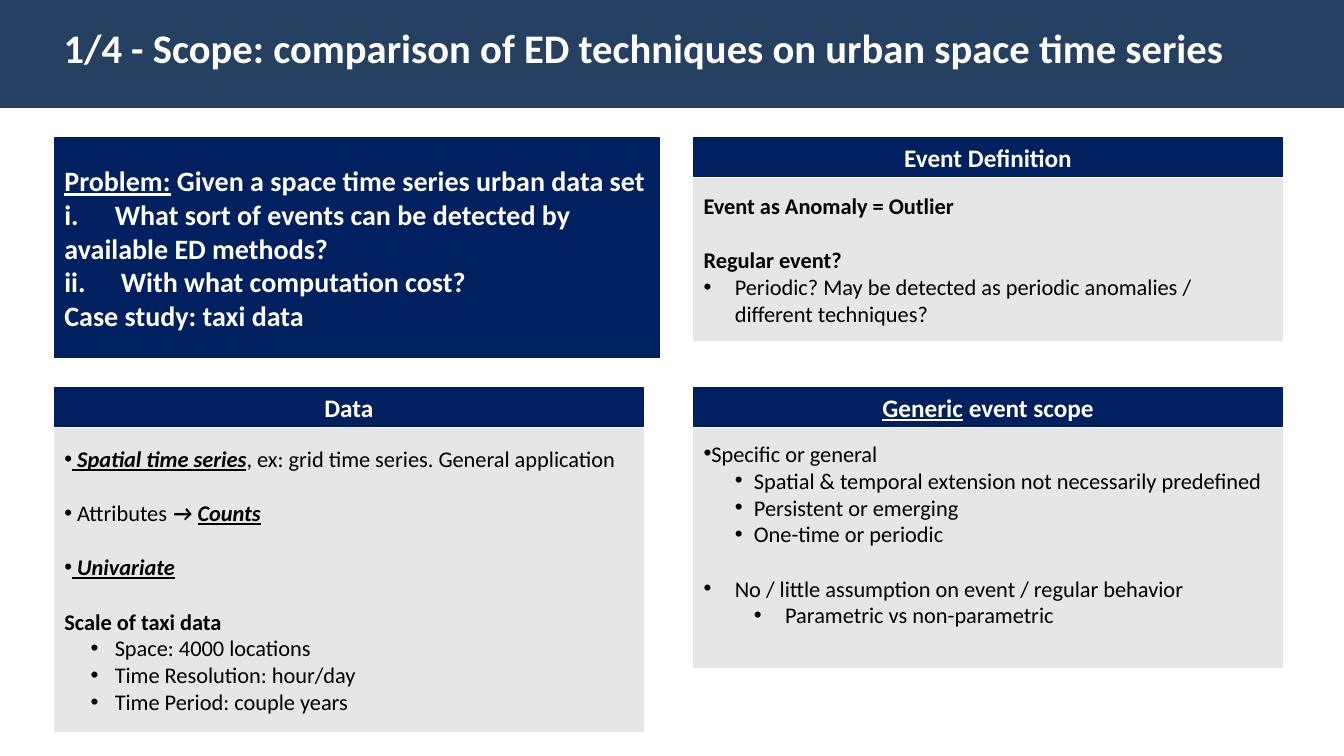
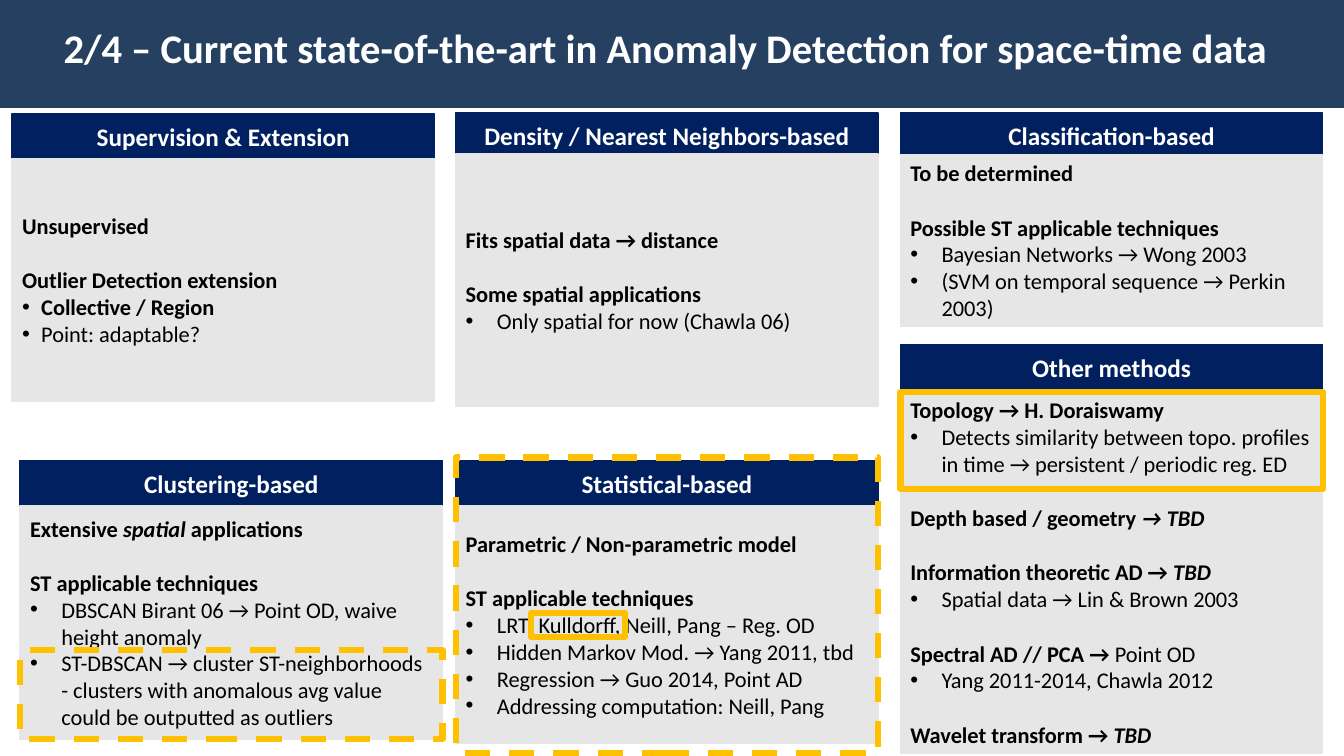
from dataclasses import dataclass

from lxml import etree
from pptx import Presentation
from pptx.dml.color import RGBColor
from pptx.enum.dml import MSO_LINE
from pptx.enum.shapes import MSO_SHAPE
from pptx.enum.text import MSO_ANCHOR, MSO_AUTO_SIZE, PP_ALIGN
from pptx.oxml.ns import qn
from pptx.util import Inches, Pt

RECTANGLE = MSO_SHAPE.RECTANGLE
DASH = MSO_LINE.DASH
TOP, MIDDLE = MSO_ANCHOR.TOP, MSO_ANCHOR.MIDDLE
NO_AUTOFIT = MSO_AUTO_SIZE.NONE
LEFT, CENTER = PP_ALIGN.LEFT, PP_ALIGN.CENTER


@dataclass(frozen=True)
class Theme:
    font: str = "Calibri"
    band: RGBColor = RGBColor(0x25, 0x40, 0x61)
    navy: RGBColor = RGBColor(0x00, 0x20, 0x60)
    grey: RGBColor = RGBColor(0xE7, 0xE6, 0xE6)
    gold: RGBColor = RGBColor(0xFF, 0xC0, 0x00)
    white: RGBColor = RGBColor(0xFF, 0xFF, 0xFF)
    black: RGBColor = RGBColor(0x00, 0x00, 0x00)
    title_size: float = 29
    problem_size: float = 20
    header_size: float = 18
    body_size: float = 16
    section_gap: float = 19.5
    edge: float = 1
    frame: float = 4.5


THEME = Theme()


@dataclass(frozen=True)
class Line:
    """One paragraph; each span is (style letters from "biu", text)."""
    spans: tuple
    bullet: str = ""
    number: int = 0
    left: float = 0
    hang: float = 0
    level: int = 0
    tab: float = 0
    gap: bool = False


# Kinds of paragraph
def plain(*spans, **options):
    return Line(spans, **options)


def bold(text, **options):
    return Line((("b", text),), **options)


def item(text, left=0.31, hang=0.31, style="", **options):
    return Line(((style, text),), bullet="•", left=left, hang=hang, **options)


# Text
def write_text(frame, lines, *, size, color, align=LEFT):
    for index, line in enumerate(lines):
        para = frame.paragraphs[0] if index == 0 else frame.add_paragraph()
        para.alignment = align
        para.level = line.level
        para.space_before = Pt(THEME.section_gap if line.gap else 0)
        format_indent(para, line)
        for style, text in line.spans:
            span = para.add_run()
            span.text = text
            font = span.font
            font.name, font.size = THEME.font, Pt(size)
            font.color.rgb = color
            font.bold = "b" in style
            font.italic = "i" in style
            font.underline = "u" in style


def format_indent(para, line):
    properties = para._p.get_or_add_pPr()
    properties.set("marL", str(Inches(line.left)))
    properties.set("indent", str(Inches(-line.hang)))
    if line.bullet:
        etree.SubElement(properties, qn("a:buFont"), typeface="Arial")
        etree.SubElement(properties, qn("a:buChar"), char=line.bullet)
    elif line.number:
        etree.SubElement(properties, qn("a:buAutoNum"),
                         type="romanLcPeriod", startAt=str(line.number))
    else:
        etree.SubElement(properties, qn("a:buNone"))
    if line.tab:
        tabs = etree.SubElement(properties, qn("a:tabLst"))
        etree.SubElement(tabs, qn("a:tab"), pos=str(Inches(line.tab)), algn="l")


# Shapes
def add_box(page, place, fill=None, line=None, width=THEME.edge, dash=None):
    box = page.shapes.add_shape(RECTANGLE, *map(Inches, place))
    box.shadow.inherit = False
    if fill is None:
        box.fill.background()
    else:
        box.fill.solid()
        box.fill.fore_color.rgb = fill
    if line is None:
        box.line.fill.background()
    else:
        box.line.color.rgb = line
        box.line.width = Pt(width)
        box.line.dash_style = dash
    return box


def add_text_box(page, place, lines, *, fill, size, color, align=LEFT, bottom=0.05):
    box = add_box(page, place, fill=fill, line=fill)
    frame = box.text_frame
    frame.word_wrap = True
    frame.vertical_anchor = MIDDLE
    frame.margin_bottom = Inches(bottom)
    write_text(frame, lines, size=size, color=color, align=align)


def add_panel(page, left, top, width, header, body_top, body_height, lines,
              header_height=0.45, bottom=0.05):
    add_text_box(page, (left, top, width, header_height), [header], fill=THEME.navy,
                 size=THEME.header_size, color=THEME.white, align=CENTER)
    add_text_box(page, (left, body_top, width, body_height), lines, fill=THEME.grey,
                 size=THEME.body_size, color=THEME.black, bottom=bottom)


def add_highlight(page, *place, dash=None):
    add_box(page, place, line=THEME.gold, width=THEME.frame, dash=dash)


def add_page(deck, heading):
    page = deck.slides.add_slide(deck.slide_layouts[5])
    # The band lies behind the title
    band = add_box(page, (0, 0, 13.33, 1.07), fill=THEME.band)
    page.shapes._spTree.insert(2, band._element)
    title = page.shapes.title
    title.left, title.top = Inches(0.54), Inches(0.19)
    title.width, title.height = Inches(12.75), Inches(0.58)
    title.fill.solid()
    title.fill.fore_color.rgb = THEME.band
    frame = title.text_frame
    frame.auto_size, frame.word_wrap = NO_AUTOFIT, True
    frame.vertical_anchor = TOP
    frame.margin_left = frame.margin_right = Inches(0.09)
    frame.margin_top = frame.margin_bottom = Inches(0.04)
    write_text(frame, [bold(heading)], size=THEME.title_size, color=THEME.white)
    return page


# Slides
def build_scope(deck):
    page = add_page(
        deck, "1/4 - Scope: comparison of ED techniques on urban space time series")
    left, right, width = 0.54, 6.88, 5.84
    upper, lower, step, header = 1.37, 3.85, 0.4, 0.38

    add_panel(page, left, lower, width, bold("Data"), lower + step, 3.01, [
        plain(("biu", " Spatial time series"),
              ("", ", ex: grid time series. General application"), bullet="•"),
        plain(("", " Attributes "), ("bi", "→ "), ("biu", "Counts"),
              bullet="•", gap=True),
        plain(("biu", " Univariate"), bullet="•", gap=True),
        bold("Scale of taxi data", gap=True),
        *[item(text, 0.5, 0.24, level=1) for text in (
            "Space: 4000 locations", "Time Resolution: hour/day",
            "Time Period: couple years")],
    ], header_height=header)

    add_panel(page, right, lower, width, plain(("bu", "Generic"), ("b", " event scope")),
              lower + step, 2.37, [
        item("Specific or general", 0, 0),
        *[item(text, 0.5, 0.19, level=1) for text in (
            "Spatial & temporal extension not necessarily predefined",
            "Persistent or emerging", "One-time or periodic")],
        item("No / little assumption on event / regular behavior", gap=True),
        item("Parametric vs non-parametric", 0.81, level=1),
    ], header_height=header, bottom=0.32)

    add_panel(page, right, upper, width, bold("Event Definition"), upper + step, 1.61, [
        bold("Event as Anomaly = Outlier"),
        bold("Regular event?", gap=True),
        item("Periodic? May be detected as periodic anomalies / different techniques?"),
    ], header_height=header)

    add_text_box(page, (left, upper, 6, 2.18), [
        plain(("bu", "Problem:"), ("b", " Given a space time series urban data set")),
        bold("i.\tWhat sort of events can be detected by available ED methods?", tab=0.4),
        bold("With what computation cost?", number=2, left=0.56, hang=0.56),
        bold("Case study: taxi data"),
    ], fill=THEME.navy, size=THEME.problem_size, color=THEME.white)


def build_methods(deck):
    page = add_page(
        deck, "2/4 – Current state-of-the-art in Anomaly Detection for space-time data")
    left, middle, right, width = 0.12, 4.52, 8.93, 4.19
    inset_left, upper, lower = 0.2, 1.12, 4.57

    add_panel(page, right, upper, width, bold("Classification-based"), 1.53, 1.71, [
        bold("To be determined"),
        bold("Possible ST applicable techniques", gap=True),
        item("Bayesian Networks → Wong 2003"),
        item("(SVM on temporal sequence → Perkin 2003)"),
    ])
    add_panel(page, middle, upper, width, bold("Density / Nearest Neighbors-based"),
              1.53, 2.5, [
        bold("Fits spatial data → distance"),
        bold("Some spatial applications", gap=True),
        item("Only spatial for now (Chawla 06)"),
    ])
    add_panel(page, left, 1.13, width, bold("Supervision & Extension"), 1.57, 2.41, [
        bold("Unsupervised"),
        bold("Outlier Detection extension", gap=True),
        item("Collective / Region", 0.19, 0.19, style="b"),
        item("Point: adaptable?", 0.19, 0.19),
    ])
    add_panel(page, inset_left, lower, width, bold("Clustering-based"), 5.02, 2.31, [
        plain(("b", "Extensive "), ("bi", "spatial"), ("b", " applications")),
        bold("ST applicable techniques", gap=True),
        item("DBSCAN Birant 06 → Point OD, waive height anomaly"),
        item("ST-DBSCAN → cluster ST-neighborhoods - clusters with anomalous "
             "avg value could be outputted as outliers"),
    ])
    add_panel(page, middle, lower, width, bold("Statistical-based"), 5.02, 2.35, [
        bold("Parametric / Non-parametric model"),
        bold("ST applicable techniques", gap=True),
        item("LRT: Kulldorff, Neill, Pang – Reg. OD"),
        item("Hidden Markov Mod. → Yang 2011, tbd"),
        item("Regression → Guo 2014, Point AD"),
        item("Addressing computation: Neill, Pang"),
    ])
    add_panel(page, right, 3.42, width, bold("Other methods"), 3.88, 3.59, [
        bold("Topology → H. Doraiswamy"),
        item("Detects similarity between topo. profiles in time → "
             "persistent / periodic reg. ED"),
        plain(("b", "Depth based / geometry "), ("bi", "→ TBD"), gap=True),
        plain(("b", "Information theoretic AD → "), ("bi", "TBD"), gap=True),
        item("Spatial data → Lin & Brown 2003"),
        plain(("b", "Spectral AD // PCA → "), ("", "Point OD"), gap=True),
        item("Yang 2011-2014, Chawla 2012"),
        plain(("b", "Wavelet transform → "), ("bi", "TBD"), gap=True),
    ])

    # Frames around the methods of interest
    add_highlight(page, middle, 4.54, width, 2.93, dash=DASH)
    add_highlight(page, right, 3.89, width, 0.96)
    add_highlight(page, inset_left, 6.45, width, 0.88, dash=DASH)
    add_highlight(page, 5.27, 6.08, 0.93, 0.24)


def main():
    deck = Presentation()
    deck.slide_width, deck.slide_height = Inches(13.33), Inches(7.5)
    build_scope(deck)
    build_methods(deck)
    deck.save("out.pptx")


main()
